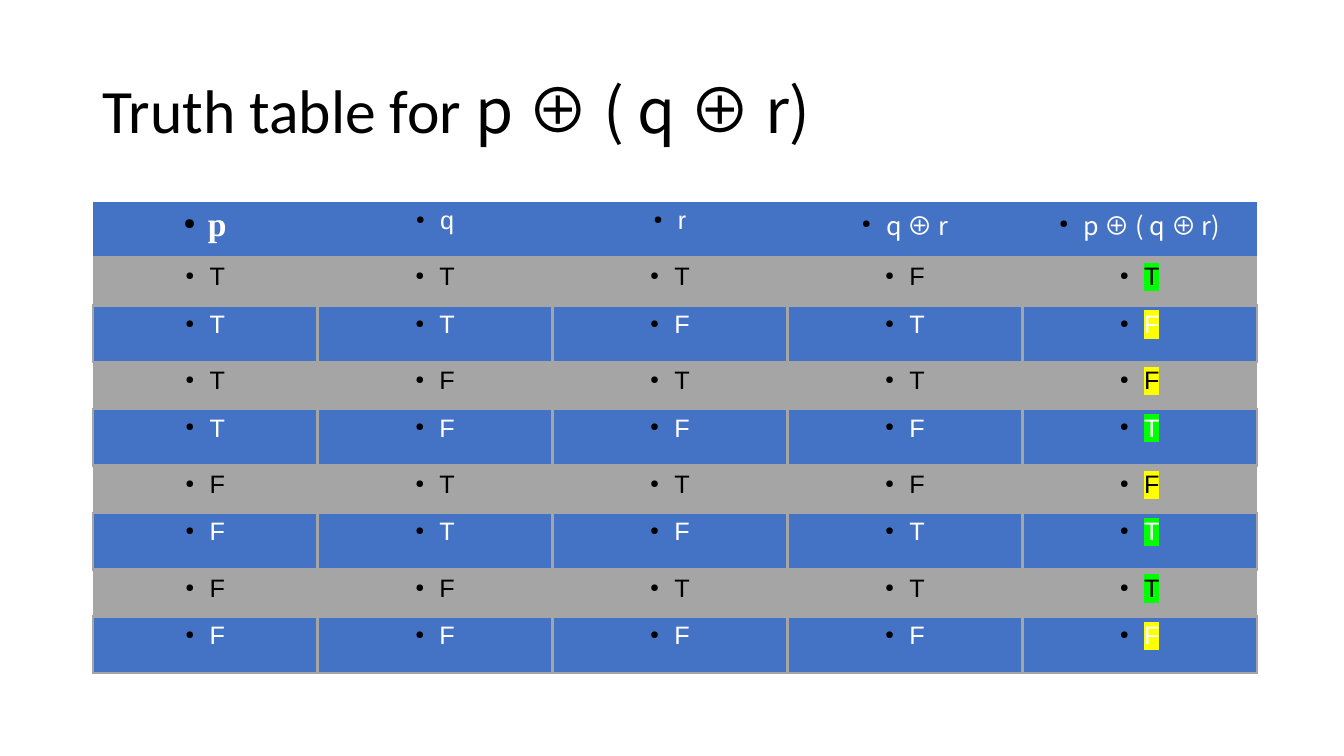
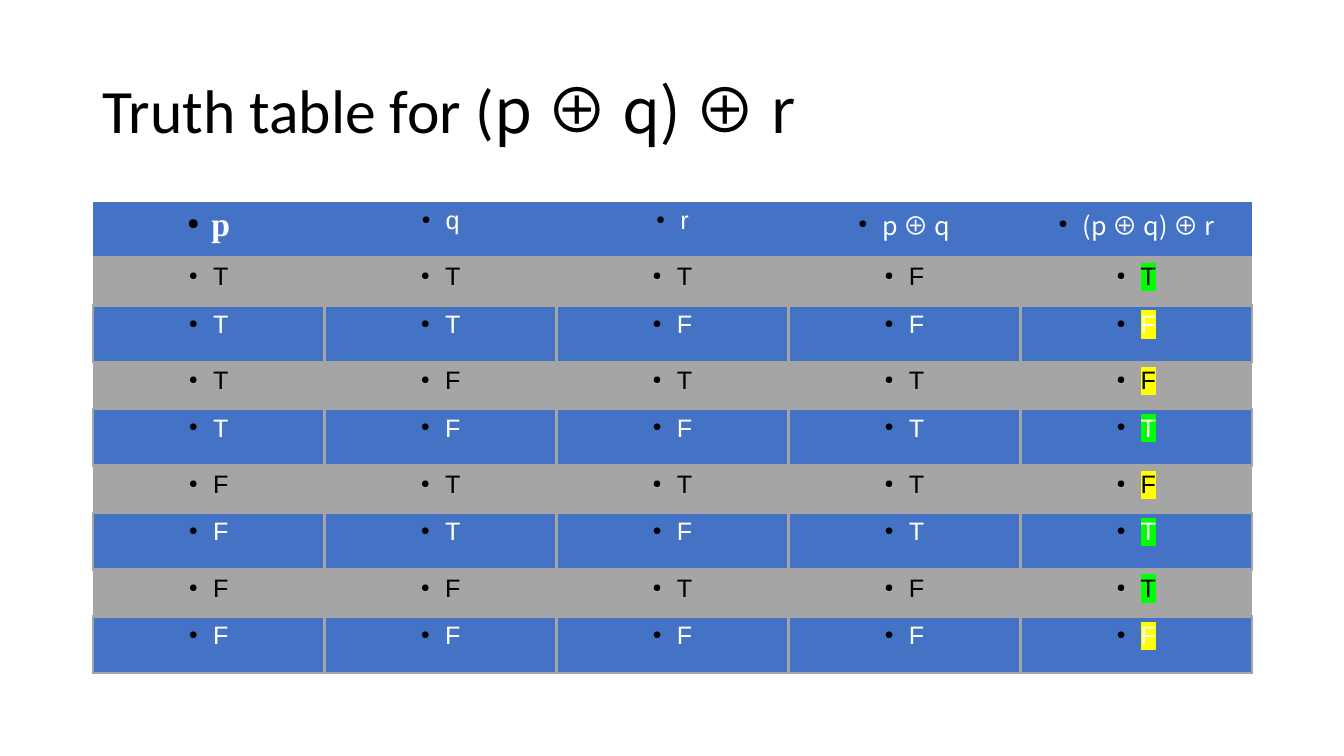
import itertools

import pptx
import pptx.dml.color
import pptx.enum.text
import pptx.oxml
import pptx.oxml.ns
import pptx.util

Inches = pptx.util.Inches
Pt = pptx.util.Pt
qn = pptx.oxml.ns.qn

COLORS = {"ink": "000000", "light": "FFFFFF", "blue": "4472C4",
          "grey": "A5A5A5", "true": "00FF00", "false": "FFFF00"}
TITLE_FONT, BODY_FONT = "Calibri", "Arial"
FORMULA_FONT, LEAD_FONT = "Noto Sans CJK JP", "Times New Roman"
NO_TABLE_STYLE = "{2D5ABB26-0587-4C30-8999-92F81FD0307C}"
LEFT = 0.92
ROW_HEIGHTS = (0.56, 0.47)  # blue rows, grey rows


def rgb(color):
    return pptx.dml.color.RGBColor.from_string(COLORS[color])


def element(tag, content="", **attributes):
    """Build a DrawingML element around optional inner XML."""
    listed = " ".join(f'{key}="{value}"' for key, value in attributes.items())
    return pptx.oxml.parse_xml(
        f'<a:{tag} {pptx.oxml.ns.nsdecls("a")} {listed}>{content}</a:{tag}>')


class TruthDeck:
    """Holds the shared style and the current slide."""

    def __init__(self):
        self.deck = pptx.Presentation()
        self.deck.slide_width = Inches(13.33)
        self.deck.slide_height = Inches(7.5)
        self.slide = None

    def new_slide(self):
        self.slide = self.deck.slides.add_slide(self.deck.slide_layouts[6])

    def style_run(self, run, size, font, color, bold=False, highlight=None):
        run.font.size = Pt(size)
        run.font.bold = bold
        run.font.name = font
        run.font.color.rgb = rgb(color)
        properties = run.font._element
        properties.find(qn("a:latin")).addnext(element("ea", typeface=font))
        if highlight:
            mark = element("highlight", f'<a:srgbClr val="{COLORS[highlight]}"/>')
            properties.find(qn("a:solidFill")).addnext(mark)

    def title(self, lead, formula):
        frame = self.slide.shapes.add_textbox(
            Inches(LEFT), Inches(0.4), Inches(11.5), Inches(1.45)).text_frame
        frame.word_wrap = True
        frame.vertical_anchor = pptx.enum.text.MSO_ANCHOR.MIDDLE
        heading = frame.paragraphs[0]
        heading.line_spacing = 0.9
        for words, font in ((lead, TITLE_FONT), (formula, FORMULA_FONT)):
            run = heading.add_run()
            run.text = words
            self.style_run(run, 44, font, "ink")

    def cell(self, cell, text, fill, **run_style):
        cell.fill.solid()
        cell.fill.fore_color.rgb = rgb(fill)
        paragraph = cell.text_frame.paragraphs[0]
        paragraph.text = text
        paragraph.alignment = pptx.enum.text.PP_ALIGN.CENTER
        # Small black bullet with a hanging indent
        properties = paragraph._p.get_or_add_pPr()
        properties.set("marL", str(Inches(0.24)))
        properties.set("indent", str(-Inches(0.24)))
        properties.append(element("buClr", f'<a:srgbClr val="{COLORS["ink"]}"/>'))
        properties.append(element("buSzPct", val="45000"))
        properties.append(element("buChar", char="●"))
        self.style_run(paragraph.runs[0], **run_style)

    def borders(self, cell, sides, width):
        properties = cell._tc.get_or_add_tcPr()
        line = f'<a:solidFill><a:srgbClr val="{COLORS["grey"]}"/></a:solidFill>'
        for place, side in enumerate(sides):
            properties.insert(place, element(f"ln{side}", line, w=Pt(width)))

    def truth_table(self, headers, widths, rule):
        cases = list(itertools.product((True, False), repeat=3))
        heights = [ROW_HEIGHTS[row % 2] for row in range(len(cases) + 1)]
        frame = self.slide.shapes.add_table(
            len(heights), len(headers), Inches(LEFT), Inches(2),
            Inches(sum(widths)), Inches(sum(heights)))
        table = frame.table
        table.first_row = table.horz_banding = False
        table._tbl.tblPr.find(qn("a:tableStyleId")).text = NO_TABLE_STYLE
        for column, width in zip(table.columns, widths):
            column.width = Inches(width)
        for row, height in zip(table.rows, heights):
            row.height = Inches(height)

        # Header row
        for column, header in enumerate(headers):
            font = FORMULA_FONT if "⊕" in header else BODY_FONT
            size = 18
            if column == 0:
                font, size = LEAD_FONT, 24
            cell = table.cell(0, column)
            self.cell(cell, header, "blue", size=size, font=font,
                      color="light", bold=column == 0)
            self.borders(cell, "B", 4.03)

        # One row per assignment, results highlighted
        for row, (p, q, r) in enumerate(cases, start=1):
            fill, color = ("grey", "ink") if row % 2 else ("blue", "light")
            values = (p, q, r, rule(p, q, r), p ^ q ^ r)
            for column, value in enumerate(values):
                highlight = None
                if column == len(values) - 1:
                    highlight = "true" if value else "false"
                cell = table.cell(row, column)
                self.cell(cell, "T" if value else "F", fill, size=18,
                          font=BODY_FONT, color=color, highlight=highlight)
                if fill == "blue":
                    self.borders(cell, "LRTB", 1.98)


def main():
    truth = TruthDeck()

    # Grouping on the right
    truth.new_slide()
    truth.title("Truth table for ", "p ⊕ ( q ⊕ r)")
    truth.truth_table(("p", "q", "r", "q ⊕ r", "p ⊕ ( q ⊕ r)"),
                      [2.23] + [2.33] * 4, lambda p, q, r: q ^ r)

    # Grouping on the left
    truth.new_slide()
    truth.title("Truth table for (", "p ⊕ q) ⊕ r")
    truth.truth_table(("p", "q", "r", "p ⊕ q", "(p ⊕ q) ⊕ r"),
                      [2.3] * 5, lambda p, q, r: p ^ q)

    truth.deck.save("out.pptx")


if __name__ == "__main__":
    main()
